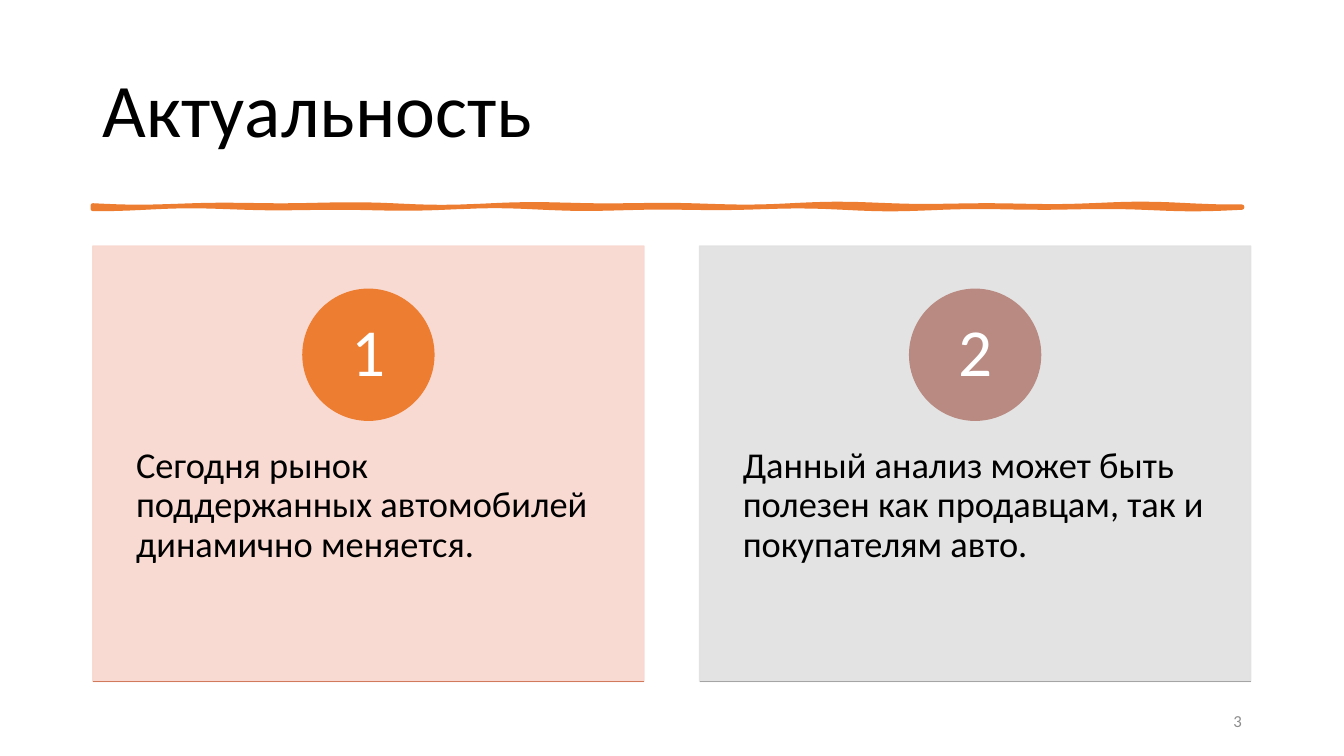
from math import sin

from lxml.etree import SubElement
from pptx import Presentation
from pptx.dml.color import RGBColor
from pptx.enum.shapes import MSO_CONNECTOR as Connector, MSO_SHAPE as Shape
from pptx.enum.text import MSO_ANCHOR as Anchor, MSO_AUTO_SIZE as AutoSize, PP_ALIGN as Align
from pptx.oxml.ns import qn
from pptx.util import Cm, Pt

TITLE = "Актуальность"
PAGE_NUMBER = "3"
CARDS = [
    ("1", "Сегодня рынок поддержанных автомобилей динамично меняется.",
     "peach", "orange", "rust"),
    ("2", "Данный анализ может быть полезен как продавцам, так и покупателям авто.",
     "light", "rose", "grey"),
]
COLORS = {
    "black": "000000", "white": "FFFFFF", "number": "8C8C8C",
    "orange": "ED7D31", "peach": "F8D7CE", "rust": "D17B5C",
    "rose": "B98A82", "light": "E1E1E1", "grey": "A5A5A5",
}
FONT = "Calibri"

LEFT = 2.34
CARD_TOP, CARD_WIDTH, CARD_HEIGHT, CARD_PITCH = 6.2, 13.89, 10.97, 15.29
CIRCLE_SIZE, CIRCLE_DROP = 3.3, 1.09
TEXT_DROP, TEXT_HEIGHT = 4.16, 6.58
RULE_TOP, RULE_WIDTH, RULE_HEIGHT, RULE_STEPS = 5.18, 28.96, 0.05, 96


def color(name):
    return RGBColor.from_string(COLORS[name])


def write(shape, text, size, ink="black", align=Align.LEFT, anchor=Anchor.MIDDLE,
          spacing=0.9, insets=(0.25, 0.13)):
    frame = shape.text_frame
    frame.word_wrap = True
    frame.auto_size = AutoSize.NONE
    frame.vertical_anchor = anchor
    frame.margin_left = frame.margin_right = Cm(insets[0])
    frame.margin_top = frame.margin_bottom = Cm(insets[1])
    para = frame.paragraphs[0]
    para.alignment = align
    para.line_spacing = spacing
    span = para.add_run()
    span.text = text
    span.font.name = FONT
    span.font.size = Pt(size)
    span.font.color.rgb = color(ink)


def paint(shape, name, width=1, opacity=None):
    shape.shadow.inherit = False
    shape.fill.solid()
    shape.fill.fore_color.rgb = color(name)
    shape.line.color.rgb = color(name)
    shape.line.width = Pt(width)
    if opacity:
        for tint in shape._element.spPr.iter(qn("a:srgbClr")):
            SubElement(tint, qn("a:alpha"), val=str(opacity * 1000))


def add_brush_rule(page):
    """Draw the uneven hand-drawn stroke under the title."""
    def edge(base, phase):
        for step in range(RULE_STEPS + 1):
            x = RULE_WIDTH * step / RULE_STEPS
            wave = 0.02 * sin(1.6 * x + phase) + 0.02 * sin(0.9 * x + 2 * phase)
            yield Cm(LEFT + x), Cm(base + wave)

    outline = list(edge(RULE_TOP, 0))
    outline += reversed(list(edge(RULE_TOP + RULE_HEIGHT, 1)))
    builder = page.shapes.build_freeform(*outline[0], scale=1.0)
    builder.add_line_segments(outline[1:], close=True)
    paint(builder.convert_to_shape(), "orange", width=3.25)


def add_card(page, left, number, text, back, disc, base):
    card = page.shapes.add_shape(
        Shape.RECTANGLE, Cm(left), Cm(CARD_TOP), Cm(CARD_WIDTH), Cm(CARD_HEIGHT))
    paint(card, back, opacity=90)

    box = page.shapes.add_textbox(
        Cm(left), Cm(CARD_TOP + TEXT_DROP), Cm(CARD_WIDTH), Cm(TEXT_HEIGHT))
    write(box, text, 26, anchor=Anchor.TOP, insets=(1.09, 0.91))

    circle = page.shapes.add_shape(
        Shape.OVAL, Cm(left + (CARD_WIDTH - CIRCLE_SIZE) / 2),
        Cm(CARD_TOP + CIRCLE_DROP), Cm(CIRCLE_SIZE), Cm(CIRCLE_SIZE))
    paint(circle, disc)
    write(circle, number, 48, ink="white", align=Align.CENTER, insets=(0.25, 0.03))

    bottom = Cm(CARD_TOP + CARD_HEIGHT)
    line = page.shapes.add_connector(
        Connector.STRAIGHT, Cm(left), bottom, Cm(left + CARD_WIDTH), bottom)
    line.line.color.rgb = color(base)
    line.line.width = Pt(1)
    SubElement(line._element.spPr, qn("a:effectLst"))


def main():
    deck = Presentation()
    deck.slide_width, deck.slide_height = Cm(33.87), Cm(19.05)
    page = deck.slides.add_slide(deck.slide_layouts[5])

    title = page.shapes.title
    title.left, title.top, title.width, title.height = Cm(LEFT), Cm(1.02), Cm(29.21), Cm(3.68)
    write(title, TITLE, 54)

    add_brush_rule(page)
    for index, card in enumerate(CARDS):
        add_card(page, LEFT + index * CARD_PITCH, *card)

    number_box = page.shapes.add_textbox(Cm(23.93), Cm(17.65), Cm(7.62), Cm(1.02))
    write(number_box, PAGE_NUMBER, 12, ink="number", align=Align.RIGHT, spacing=1.0)

    deck.save("out.pptx")


if __name__ == "__main__":
    main()
